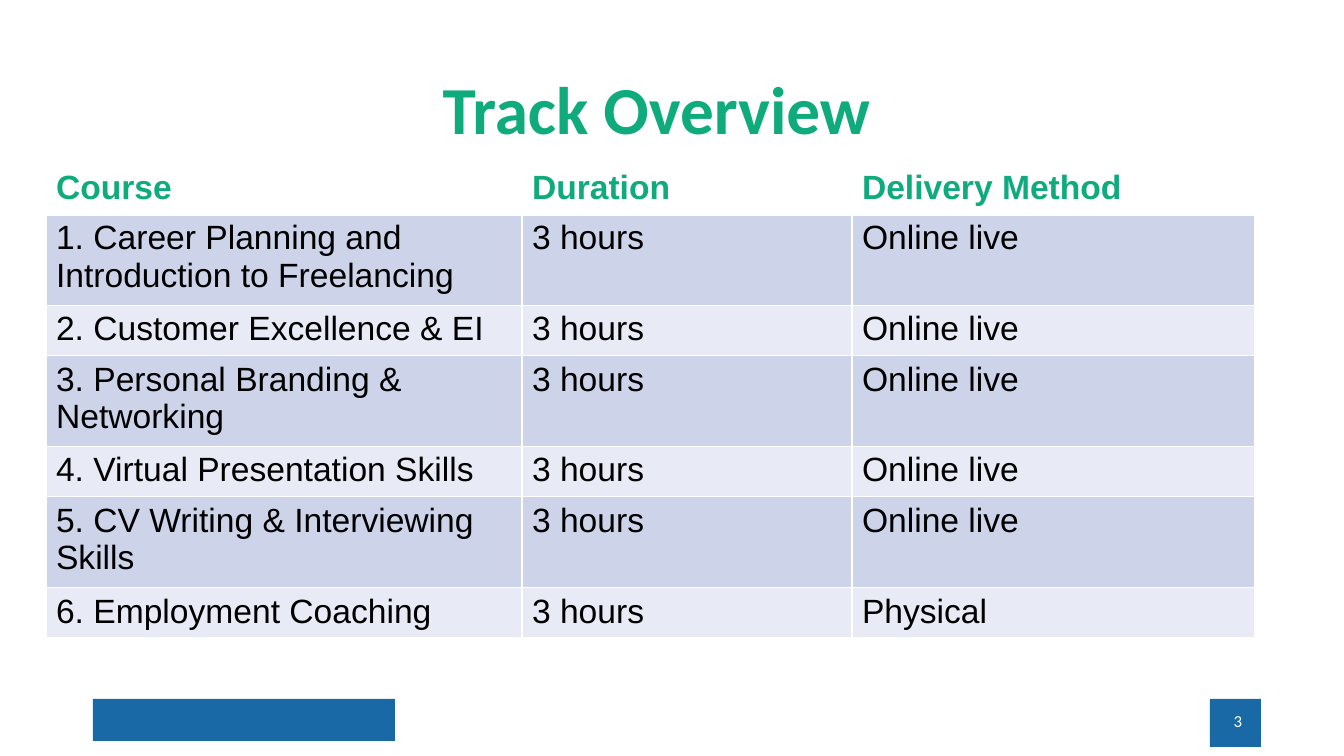
import dataclasses

import pptx
import pptx.dml.color
import pptx.enum.shapes
import pptx.enum.text
import pptx.oxml
import pptx.oxml.ns
import pptx.util

ALIGN = pptx.enum.text.PP_ALIGN
ANCHOR = pptx.enum.text.MSO_ANCHOR
PX = 914400 / 100.8


@dataclasses.dataclass(frozen=True)
class Theme:
    green: str = "0FAB7D"
    blue: str = "1869A6"
    white: str = "FFFFFF"
    black: str = "000000"
    bands: tuple = ("CDD4EA", "E8EBF5")
    heading_font: str = "Calibri"
    table_font: str = "Arial"
    title_size: int = 48
    table_size: int = 24
    number_size: int = 12


def px(length):
    return pptx.util.Emu(round(length * PX))


def rgb(color):
    return pptx.dml.color.RGBColor.from_string(color)


class SlideBuilder:
    def __init__(self, presentation, theme):
        self.theme = theme
        self.slide = presentation.slides.add_slide(presentation.slide_layouts[6])

    def block(self, *box):
        shape = self.slide.shapes.add_shape(
            pptx.enum.shapes.MSO_SHAPE.RECTANGLE, *map(px, box))
        shape.shadow.inherit = False
        shape.fill.solid()
        shape.fill.fore_color.rgb = rgb(self.theme.blue)
        shape.line.fill.background()

    def run(self, paragraph, text, font, size, color, bold=False):
        run = paragraph.add_run()
        run.text = text
        run.font.name = font
        run.font.size = pptx.util.Pt(size)
        run.font.bold = bold
        run.font.color.rgb = rgb(color)

    def text(self, box, text, size, color, align, bold=False, spacing=1.0):
        frame = self.slide.shapes.add_textbox(*map(px, box)).text_frame
        frame.word_wrap = True
        frame.vertical_anchor = ANCHOR.MIDDLE
        paragraph = frame.paragraphs[0]
        paragraph.alignment = align
        paragraph.line_spacing = spacing
        self.run(paragraph, text, self.theme.heading_font, size, color, bold)

    def border(self, cell, side, points):
        properties = cell._tc.get_or_add_tcPr()
        properties.append(pptx.oxml.parse_xml(
            f'<a:ln{side} {pptx.oxml.ns.nsdecls("a")} w="{pptx.util.Pt(points)}">'
            f'<a:solidFill><a:srgbClr val="{self.theme.white}"/></a:solidFill>'
            f'</a:ln{side}>'))

    def table(self, left, top, widths, heights, rows):
        theme = self.theme
        table = self.slide.shapes.add_table(
            len(rows), len(widths), px(left), px(top),
            px(sum(widths)), px(sum(heights))).table
        table.first_row = table.horz_banding = False
        for column, width in zip(table.columns, widths):
            column.width = px(width)
        for index, (row, height, texts) in enumerate(zip(table.rows, heights, rows)):
            row.height = px(height)
            header = index == 0
            fill = theme.white if header else theme.bands[(index - 1) % 2]
            for cell, text in zip(row.cells, texts):
                for side in "LRTB":
                    heavy = (header and side == "B") or (index == 1 and side == "T")
                    self.border(cell, side, 3 if heavy else 1)
                cell.fill.solid()
                cell.fill.fore_color.rgb = rgb(fill)
                self.run(cell.text_frame.paragraphs[0], text, theme.table_font,
                         theme.table_size, theme.green if header else theme.black,
                         bold=header)


def main():
    theme = Theme()
    presentation = pptx.Presentation()
    presentation.slide_width, presentation.slide_height = px(1344), px(756)
    builder = SlideBuilder(presentation, theme)

    # Footer blocks and page number
    builder.block(93, 699, 302, 42)
    builder.block(1210, 699, 51, 48)
    builder.text((950, 701, 302, 40), "3", theme.number_size, theme.white, ALIGN.RIGHT)

    # Title
    builder.text((77, 40, 1159, 146), "Track Overview", theme.title_size,
                 theme.green, ALIGN.CENTER, bold=True, spacing=0.9)

    # Course table: long course names take two lines
    courses = [
        ("1. Career Planning and Introduction to Freelancing", "Online live"),
        ("2. Customer Excellence & EI", "Online live"),
        ("3. Personal Branding & Networking", "Online live"),
        ("4. Virtual Presentation Skills", "Online live"),
        ("5. CV Writing & Interviewing Skills", "Online live"),
        ("6. Employment Coaching", "Physical"),
    ]
    rows = [("Course", "Duration", "Delivery Method")]
    rows += [(course, "3 hours", method) for course, method in courses]
    one_line, two_lines = 47, 85
    heights = [one_line] + [two_lines, one_line] * 3
    builder.table(46, 164, (476, 330, 403), heights, rows)

    presentation.save("out.pptx")


if __name__ == "__main__":
    main()
